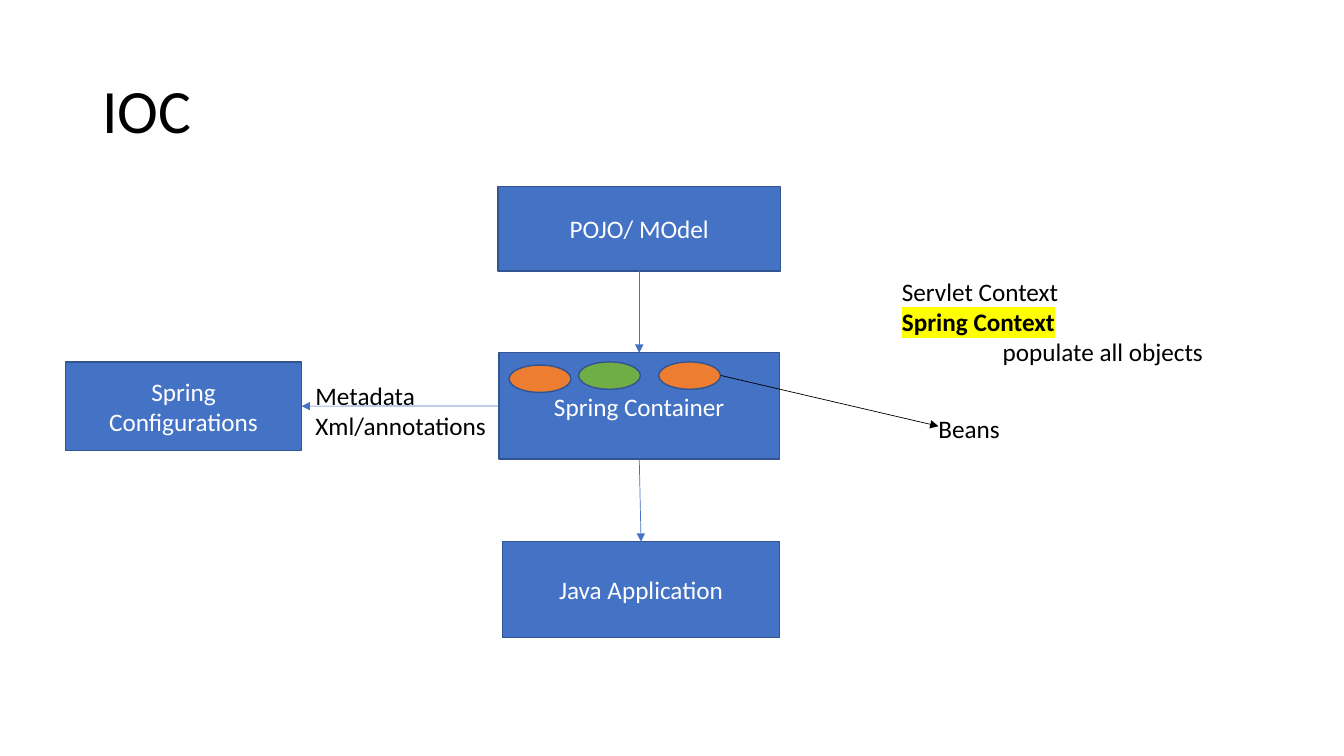
from lxml.etree import SubElement
from pptx import Presentation
from pptx.dml.color import RGBColor
from pptx.enum.shapes import MSO_CONNECTOR, MSO_SHAPE
from pptx.enum.text import MSO_ANCHOR, PP_ALIGN
from pptx.oxml.ns import qn
from pptx.util import Cm, Pt

COLORS = {
    "box": "4472C4", "outline": "325491", "orange": "ED7D31", "green": "70AD47",
    "white": "FFFFFF", "black": "000000", "highlight": "FFFF00",
}


def add_filled(kind, place, fill):
    shape = slide.shapes.add_shape(kind, *[Cm(v) for v in place])
    shape.shadow.inherit = False
    shape.fill.solid()
    shape.fill.fore_color.rgb = RGBColor.from_string(COLORS[fill])
    shape.line.color.rgb = RGBColor.from_string(COLORS["outline"])
    shape.line.width = Pt(1)
    return shape


def write(paragraph, text, color, size=18):
    run = paragraph.add_run()
    run.text = text
    for name, value in {"name": "Calibri", "size": Pt(size), "bold": False}.items():
        setattr(run.font, name, value)
    run.font.color.rgb = RGBColor.from_string(COLORS[color])
    return run


prs = Presentation()
prs.slide_width, prs.slide_height = Cm(33.87), Cm(19.05)
slide = prs.slides.add_slide(prs.slide_layouts[5])

# Title
title = slide.shapes.title
title.left, title.top, title.width, title.height = Cm(2.33), Cm(1.01), Cm(29.21), Cm(3.68)
title.text_frame.vertical_anchor = MSO_ANCHOR.MIDDLE
heading = title.text_frame.paragraphs[0]
heading.alignment = PP_ALIGN.LEFT
heading.line_spacing = 0.9
write(heading, "IOC", "black", 44)

# Boxes of the diagram
boxes = {}
for label, place in {
    "Spring Container": (12.58, 8.89, 7.06, 2.68),
    "POJO/ MOdel": (12.55, 4.7, 7.12, 2.13),
    "Spring Configurations": (1.65, 9.12, 5.95, 2.23),
    "Java Application": (12.66, 13.65, 6.99, 2.42),
}.items():
    box = add_filled(MSO_SHAPE.RECTANGLE, place, "box")
    box.text_frame.word_wrap = True
    box.text_frame.vertical_anchor = MSO_ANCHOR.MIDDLE
    box.text_frame.paragraphs[0].alignment = PP_ALIGN.CENTER
    write(box.text_frame.paragraphs[0], label, "white")
    boxes[label] = box

# Beans inside the container
for left, top, fill in [(16.6, 9.12, "orange"), (14.58, 9.12, "green"), (12.83, 9.2, "orange")]:
    add_filled(MSO_SHAPE.OVAL, (left, top, 1.56, 0.69), fill)

# Arrows: connection sites are 0 top, 1 left, 2 bottom, 3 right
arrows = []
for source, source_site, target, target_site in [
    ("POJO/ MOdel", 2, "Spring Container", 0),
    ("Spring Container", 1, "Spring Configurations", 3),
    ("Spring Container", 2, "Java Application", 0),
]:
    arrow = slide.shapes.add_connector(MSO_CONNECTOR.STRAIGHT, 0, 0, 0, 0)
    arrow.begin_connect(boxes[source], source_site)
    arrow.end_connect(boxes[target], target_site)
    arrows.append((arrow, "box"))
bean_arrow = slide.shapes.add_connector(
    MSO_CONNECTOR.STRAIGHT, Cm(18.16), Cm(9.46), Cm(23.65), Cm(10.74))
arrows.append((bean_arrow, "black"))
for arrow, color in arrows:
    arrow.line.color.rgb = RGBColor.from_string(COLORS[color])
    arrow.line.width = Pt(0.5)
    SubElement(arrow.line._get_or_add_ln(), qn("a:tailEnd"), type="triangle")
    SubElement(arrow._element.spPr, qn("a:effectLst"))

# Free labels
notes = [
    ((7.7, 9.45, 4.85, 1.8), ["Metadata", "Xml/annotations"]),
    ((22.48, 6.83, 8.18, 3.33), ["Servlet Context", "Spring Context", "populate all objects"]),
    ((23.4, 10.29, 2.08, 1.02), ["Beans"]),
]
for place, lines in notes:
    frame = slide.shapes.add_textbox(*[Cm(v) for v in place]).text_frame
    frame.word_wrap = False
    for index, line in enumerate(lines):
        paragraph = frame.add_paragraph() if index else frame.paragraphs[0]
        run = write(paragraph, line, "black")
        if line == "Spring Context":
            run.font.bold = True
            properties = run._r.get_or_add_rPr()
            mark = SubElement(properties, qn("a:highlight"))
            SubElement(mark, qn("a:srgbClr"), val=COLORS["highlight"])
            properties.find(qn("a:solidFill")).addnext(mark)
        elif line == "populate all objects":
            paragraph._p.get_or_add_pPr().set("marL", str(Cm(2.54)))

prs.save("out.pptx")
